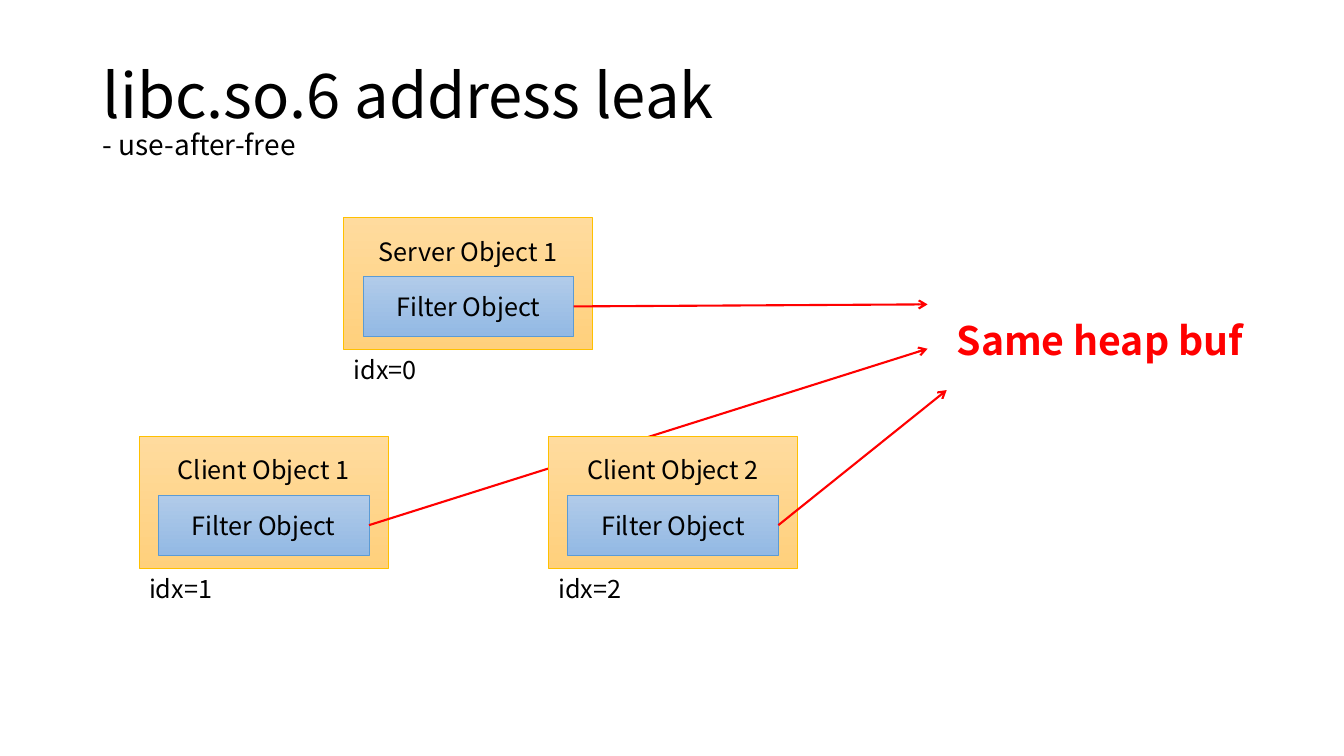
from lxml import etree
from pptx import Presentation
from pptx.dml.color import RGBColor
from pptx.enum import shapes, text
from pptx.oxml.ns import qn
from pptx.util import Inches, Pt

FONT = "Noto Sans CJK KR"
BLACK = RGBColor(0x00, 0x00, 0x00)
RED = RGBColor(0xFF, 0x00, 0x00)
AMBER = RGBColor(0xFF, 0xC0, 0x00)
AMBER_TOP = RGBColor(0xFF, 0xDB, 0x9E)
AMBER_BOTTOM = RGBColor(0xFF, 0xD0, 0x7C)
BLUE = RGBColor(0x5B, 0x9B, 0xD5)
BLUE_TOP = RGBColor(0xB1, 0xCB, 0xE9)
BLUE_BOTTOM = RGBColor(0x93, 0xB9, 0xE4)

deck = Presentation()
deck.slide_width, deck.slide_height = Inches(13.33), Inches(7.5)
page = deck.slides.add_slide(deck.slide_layouts[6])


def add_span(para, words, size, color=BLACK, bold=False):
    span = para.add_run()
    span.text = words
    span.font.name = FONT
    span.font.size = Pt(size)
    span.font.bold = bold
    span.font.color.rgb = color


def add_panel(left, top, width, height, words, top_color, bottom_color, edge):
    """Add a centred rectangle with a vertical gradient."""
    panel = page.shapes.add_shape(shapes.MSO_SHAPE.RECTANGLE, Inches(left),
                                  Inches(top), Inches(width), Inches(height))
    panel.shadow.inherit = False
    panel.fill.gradient()
    panel.fill.gradient_angle = 270
    for stop, color in zip(panel.fill.gradient_stops, (top_color, bottom_color)):
        stop.color.rgb = color
    panel.line.color.rgb = edge
    panel.line.width = Pt(0.5)
    para = panel.text_frame.paragraphs[0]
    para.alignment = text.PP_ALIGN.CENTER
    add_span(para, words, 18)
    return panel


# Title
title = page.shapes.add_textbox(Inches(0.92), Inches(0.4), Inches(11.5), Inches(1.45))
title.text_frame.word_wrap = True
title.text_frame.vertical_anchor = text.MSO_ANCHOR.MIDDLE
title_para = title.text_frame.paragraphs[0]
title_para.line_spacing = 0.9
add_span(title_para, "libc.so.6 address leak", 44)
title_para.add_line_break()
add_span(title_para, "- use-after-free", 20)

# Objects, each with its filter, index and arrow to the shared buffer
objects = [
    ("Server Object 1", 3.41, 2.16, (9.2, 3.02)),
    ("Client Object 1", 1.38, 4.33, (9.2, 3.46)),
    ("Client Object 2", 5.44, 4.33, (9.39, 3.87)),
]
for index, (name, left, top, (tip_x, tip_y)) in enumerate(objects):
    holder = add_panel(left, top, 2.47, 1.31, name, AMBER_TOP, AMBER_BOTTOM, AMBER)
    holder.text_frame.vertical_anchor = text.MSO_ANCHOR.TOP
    holder.text_frame.margin_top = Inches(0.18)
    filter_box = add_panel(left + 0.19, top + 0.585, 2.09, 0.59, "Filter Object",
                           BLUE_TOP, BLUE_BOTTOM, BLUE)
    filter_box.text_frame.vertical_anchor = text.MSO_ANCHOR.MIDDLE

    label = page.shapes.add_textbox(Inches(left), Inches(top + 1.305),
                                    Inches(0.99), Inches(0.4))
    label.text_frame.word_wrap = True
    add_span(label.text_frame.paragraphs[0], f"idx={index}", 18)

    arrow = page.shapes.add_connector(shapes.MSO_CONNECTOR.STRAIGHT, 0, 0,
                                      Inches(tip_x), Inches(tip_y))
    arrow.begin_connect(filter_box, 3)
    arrow.line.color.rgb = RED
    arrow.line.width = Pt(1.5)
    etree.SubElement(arrow.line._get_or_add_ln(), qn("a:tailEnd"), type="arrow")
    etree.SubElement(arrow._element.spPr, qn("a:effectLst"))

# Shared buffer
buffer_box = page.shapes.add_textbox(Inches(9.39), Inches(3.09), Inches(3.04), Inches(0.57))
buffer_box.text_frame.word_wrap = False
buffer_box.text_frame.auto_size = text.MSO_AUTO_SIZE.SHAPE_TO_FIT_TEXT
add_span(buffer_box.text_frame.paragraphs[0], "Same heap buf", 28, RED, bold=True)

deck.save("out.pptx")
